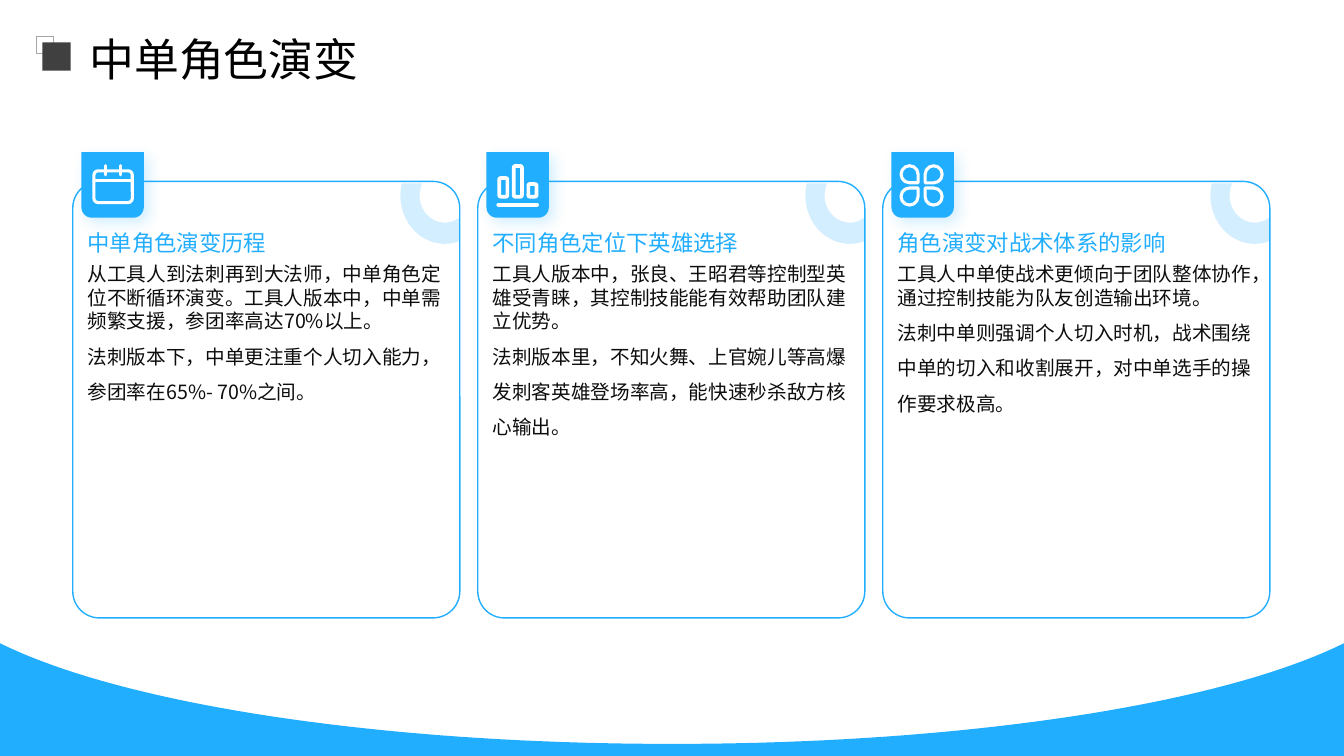
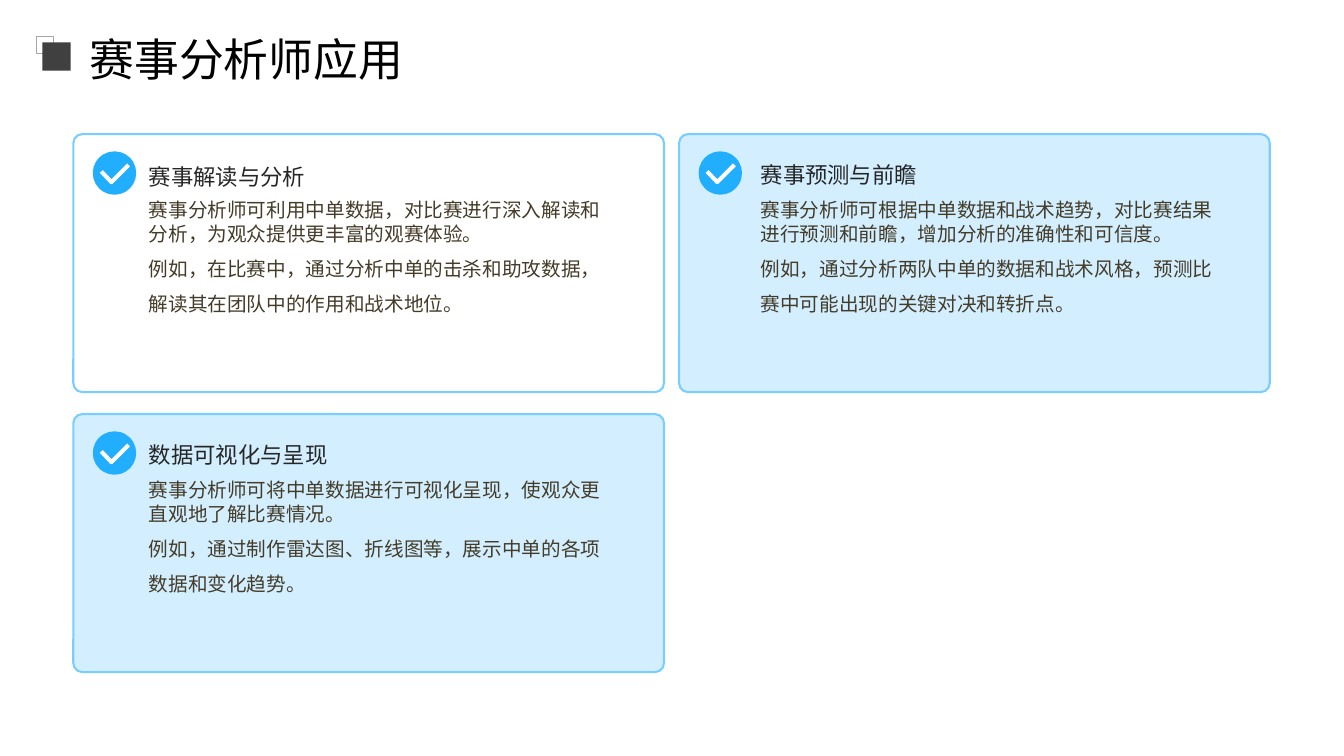
from dataclasses import dataclass
from math import cos, radians, sin
from typing import Callable, Optional

from lxml import etree
from pptx import Presentation
from pptx.dml.color import RGBColor
from pptx.enum.shapes import MSO_CONNECTOR, MSO_SHAPE
from pptx.enum.text import MSO_ANCHOR, PP_ALIGN
from pptx.oxml.ns import qn
from pptx.util import Pt

RECTANGLE = MSO_SHAPE.RECTANGLE
ROUNDED = MSO_SHAPE.ROUNDED_RECTANGLE
TOP_ROUNDED = MSO_SHAPE.ROUND_2_SAME_RECTANGLE
TEARDROP = MSO_SHAPE.TEAR
DISC = MSO_SHAPE.FLOWCHART_CONNECTOR
STRAIGHT = MSO_CONNECTOR.STRAIGHT
TOP, MIDDLE = MSO_ANCHOR.TOP, MSO_ANCHOR.MIDDLE
LEFT = PP_ALIGN.LEFT

FONT = "Noto Sans CJK SC"
BLUE, SKY, PALE, WHITE = "22AEFF", "7ACEFF", "D3EFFF", "FFFFFF"
BLACK, INK, BROWN, CHARCOAL = "000000", "0D0D0D", "443C29", "262626"
DARK_GREY, GREY = "404040", "A6A6A6"
SLIDE_WIDTH, SLIDE_HEIGHT = 960, 540
ICON_STROKE = 2.2

Point = tuple[float, float]


@dataclass
class EraCard:
    heading: str
    paragraphs: list[str]
    draw_icon: Callable


@dataclass
class UseCard:
    heading: str
    paragraphs: list[str]
    column: int
    row: int
    fill: Optional[str]
    text_indent: float
    heading_offset: float


def color(value: str) -> RGBColor:
    return RGBColor.from_string(value)


def paint(shape, fill: Optional[str], line: Optional[str], width: float) -> None:
    shape.shadow.inherit = False
    if fill:
        shape.fill.solid()
        shape.fill.fore_color.rgb = color(fill)
    else:
        shape.fill.background()
    if line:
        shape.line.color.rgb = color(line)
        shape.line.width = Pt(width)
    else:
        shape.line.fill.background()


def add_box(slide, kind, left: float, top: float, width: float, height: float, *,
            fill: Optional[str] = None, line: Optional[str] = None,
            line_width: float = 1, corner: Optional[float] = None, rotation: float = 0):
    shape = slide.shapes.add_shape(kind, Pt(left), Pt(top), Pt(width), Pt(height))
    paint(shape, fill, line, line_width)
    shape.rotation = rotation
    if corner is not None:
        shape.adjustments[0] = corner
    return shape


def add_outline(slide, points: list[Point], *, fill: Optional[str] = None,
                line: Optional[str] = None, line_width: float = 1, close: bool = True):
    corners = [(Pt(x), Pt(y)) for x, y in points]
    builder = slide.shapes.build_freeform(*corners[0])
    builder.add_line_segments(corners[1:], close=close)
    shape = builder.convert_to_shape()
    paint(shape, fill, line, line_width)
    return shape


def add_stroke(slide, start: Point, end: Point, width: float) -> None:
    """Draw a white icon line with round ends."""
    connector = slide.shapes.add_connector(STRAIGHT, *(Pt(value) for value in start + end))
    connector.line.color.rgb = color(WHITE)
    connector.line.width = Pt(width)
    connector.line._get_or_add_ln().set("cap", "rnd")
    etree.SubElement(connector._element.spPr, qn("a:effectLst"))


def add_text(slide, paragraphs: list[str], left: float, top: float, width: float,
             height: float, *, size: float, text_color: str, spacings: tuple[float, ...],
             anchor=TOP, insets: Point = (0, 0)) -> None:
    frame = slide.shapes.add_textbox(Pt(left), Pt(top), Pt(width), Pt(height)).text_frame
    frame.word_wrap = True
    frame.vertical_anchor = anchor
    frame.margin_left = frame.margin_right = Pt(insets[0])
    frame.margin_top = frame.margin_bottom = Pt(insets[1])
    for index, (text, spacing) in enumerate(zip(paragraphs, spacings)):
        paragraph = frame.add_paragraph() if index else frame.paragraphs[0]
        paragraph.alignment = LEFT
        paragraph.line_spacing = spacing
        run = paragraph.add_run()
        run.text = text
        run.font.size = Pt(size)
        run.font.color.rgb = color(text_color)
        run.font.name = FONT
        etree.SubElement(run._r.get_or_add_rPr(), qn("a:ea"), typeface=FONT)


def set_alpha(shape, percent: int) -> None:
    fill_color = shape._element.spPr.find(qn("a:solidFill"))[0]
    etree.SubElement(fill_color, qn("a:alpha"), val=str(percent * 1000))


def add_glow(shape) -> None:
    """Give the shape a soft blue shadow to the lower right."""
    effects = shape._element.spPr.find(qn("a:effectLst"))
    shadow = etree.SubElement(effects, qn("a:outerShdw"), blurRad=str(Pt(10)),
                              dist=str(Pt(5)), dir="2700000", algn="tl", rotWithShape="0")
    shadow_color = etree.SubElement(shadow, qn("a:srgbClr"), val=BLUE)
    etree.SubElement(shadow_color, qn("a:alpha"), val="20000")


def arc(center: Point, radii: Point, start: float, end: float) -> list[Point]:
    steps = 30
    angles = [radians(start + (end - start) * i / steps) for i in range(steps + 1)]
    return [(center[0] + radii[0] * cos(a), center[1] + radii[1] * sin(a)) for a in angles]


def bezier(p0: Point, p1: Point, p2: Point, p3: Point) -> list[Point]:
    steps = 40
    points = []
    for i in range(steps + 1):
        t = i / steps
        weights = ((1 - t) ** 3, 3 * t * (1 - t) ** 2, 3 * t * t * (1 - t), t ** 3)
        x, y = (sum(w * p[axis] for w, p in zip(weights, (p0, p1, p2, p3))) for axis in (0, 1))
        points.append((x, y))
    return points


def draw_calendar(slide, left: float, top: float) -> None:
    add_box(slide, ROUNDED, left + 9, top + 13.3, 27.4, 22.7, line=WHITE,
            line_width=ICON_STROKE, corner=0.13)
    add_stroke(slide, (left + 9, top + 20.5), (left + 36.4, top + 20.5), ICON_STROKE)
    for x in (left + 17.3, left + 27.7):
        add_stroke(slide, (x, top + 9.7), (x, top + 16.2), ICON_STROKE)


def draw_bars(slide, left: float, top: float) -> None:
    for index, bar_top in enumerate((18.5, 9.9, 22.8)):
        add_box(slide, ROUNDED, left + 9.2 + 10.4 * index, top + bar_top, 5.8,
                31.8 - bar_top, line=WHITE, line_width=2.6, corner=0.17)
    add_stroke(slide, (left + 8.6, top + 37.4), (left + 36.2, top + 37.4), 2.8)


def draw_petals(slide, left: float, top: float) -> None:
    for index, rotation in enumerate((90, 180, 0, 270)):
        row, column = divmod(index, 2)
        add_box(slide, TEARDROP, left + 6.9 + 17.2 * column, top + 9.7 + 15.9 * row,
                12.2, 12.2, line=WHITE, line_width=ICON_STROKE, rotation=rotation)


def add_titled_slide(presentation, title: str):
    slide = presentation.slides.add_slide(presentation.slide_layouts[6])
    slide.background.fill.solid()
    slide.background.fill.fore_color.rgb = color(WHITE)
    add_text(slide, [title], 64, 20.9, 856.8, 33.8, size=32, text_color=BLACK,
             spacings=(1.2,), anchor=MIDDLE)
    add_box(slide, RECTANGLE, 25.9, 25.9, 12.2, 12.2, line=GREY)
    add_box(slide, RECTANGLE, 30.2, 30.2, 20.2, 20.2, fill=DARK_GREY)
    return slide


def draw_bottom_curve(slide) -> None:
    half = bezier((0, 459.5), (88, 503), (270, 531.4), (480, 531.4))
    mirrored = [(SLIDE_WIDTH - x, y) for x, y in reversed(half[:-1])]
    corners = [(SLIDE_WIDTH, SLIDE_HEIGHT), (0, SLIDE_HEIGHT)]
    add_outline(slide, half + mirrored + corners, fill=BLUE)


def draw_era_card(slide, card: EraCard, index: int) -> None:
    left, top = 52 + 289.3 * index, 129.6
    add_box(slide, ROUNDED, left, top, 276.5, 311.8, fill=WHITE, line=BLUE, corner=0.069)
    add_text(slide, card.paragraphs, left + 10.6, top + 57.6, 255.6, 243.4, size=14,
             text_color=INK, spacings=(1.0, 1.5))
    add_text(slide, [card.heading], left + 10.6, top + 33.8, 255.6, 23.8, size=16,
             text_color=BLUE, spacings=(1.0,))
    center = (left + 265.7, top + 10)
    ring = arc(center, (31.7, 34.6), 194.5, 71.5) + arc(center, (18, 19.4), 56, 206)
    set_alpha(add_outline(slide, ring, fill=BLUE), 20)
    badge_left, badge_top = left + 6.1, top - 20.9
    badge = add_box(slide, TOP_ROUNDED, badge_left, badge_top, 44.6, 46.8, fill=BLUE,
                    rotation=180)
    add_glow(badge)
    card.draw_icon(slide, badge_left, badge_top)


def draw_use_card(slide, card: UseCard) -> None:
    left, top = 52.4 + 432.7 * card.column, 95.8 + 200 * card.row
    add_box(slide, ROUNDED, left, top, 421.9, 184.3, fill=card.fill, line=SKY,
            line_width=1.5, corner=0.035)
    text_left = left + card.text_indent
    add_text(slide, card.paragraphs, text_left, top + 42.3, 348.5, 128, size=14,
             text_color=BROWN, spacings=(1.0, 1.5), insets=(7.2, 3.6))
    add_text(slide, [card.heading], text_left, top + card.heading_offset, 349.2, 28.8,
             size=16, text_color=CHARCOAL, spacings=(1.1,), insets=(7.2, 3.6))
    disc_left, disc_top = left + 13.9, top + 12.3
    add_box(slide, DISC, disc_left, disc_top, 31, 31, fill=BLUE)
    tick = [(disc_left + x, disc_top + y) for x, y in ((6.1, 14.4), (13.3, 22), (25.6, 9.7))]
    add_outline(slide, tick, line=WHITE, line_width=2.9, close=False)


ERA_CARDS = [
    EraCard("中单角色演变历程",
            ["从工具人到法刺再到大法师，中单角色定位不断循环演变。工具人版本中，中单需频繁支援，参团率高达70%以上。",
             "法刺版本下，中单更注重个人切入能力，参团率在65%- 70%之间。"], draw_calendar),
    EraCard("不同角色定位下英雄选择",
            ["工具人版本中，张良、王昭君等控制型英雄受青睐，其控制技能能有效帮助团队建立优势。",
             "法刺版本里，不知火舞、上官婉儿等高爆发刺客英雄登场率高，能快速秒杀敌方核心输出。"], draw_bars),
    EraCard("角色演变对战术体系的影响",
            ["工具人中单使战术更倾向于团队整体协作，通过控制技能为队友创造输出环境。",
             "法刺中单则强调个人切入时机，战术围绕中单的切入和收割展开，对中单选手的操作要求极高。"], draw_petals),
]

USE_CARDS = [
    UseCard("赛事解读与分析",
            ["赛事分析师可利用中单数据，对比赛进行深入解读和分析，为观众提供更丰富的观赛体验。",
             "例如，在比赛中，通过分析中单的击杀和助攻数据，解读其在团队中的作用和战术地位。"],
            0, 0, None, 46.8, 15),
    UseCard("赛事预测与前瞻",
            ["赛事分析师可根据中单数据和战术趋势，对比赛结果进行预测和前瞻，增加分析的准确性和可信度。",
             "例如，通过分析两队中单的数据和战术风格，预测比赛中可能出现的关键对决和转折点。"],
            1, 0, PALE, 51.2, 13.7),
    UseCard("数据可视化与呈现",
            ["赛事分析师可将中单数据进行可视化呈现，使观众更直观地了解比赛情况。",
             "例如，通过制作雷达图、折线图等，展示中单的各项数据和变化趋势。"],
            0, 1, PALE, 46.8, 13.7),
]


def main() -> None:
    presentation = Presentation()
    presentation.slide_width = Pt(SLIDE_WIDTH)
    presentation.slide_height = Pt(SLIDE_HEIGHT)

    evolution = add_titled_slide(presentation, "中单角色演变")
    draw_bottom_curve(evolution)
    for index, era_card in enumerate(ERA_CARDS):
        draw_era_card(evolution, era_card, index)

    application = add_titled_slide(presentation, "赛事分析师应用")
    for use_card in USE_CARDS:
        draw_use_card(application, use_card)

    presentation.save("out.pptx")


if __name__ == "__main__":
    main()
